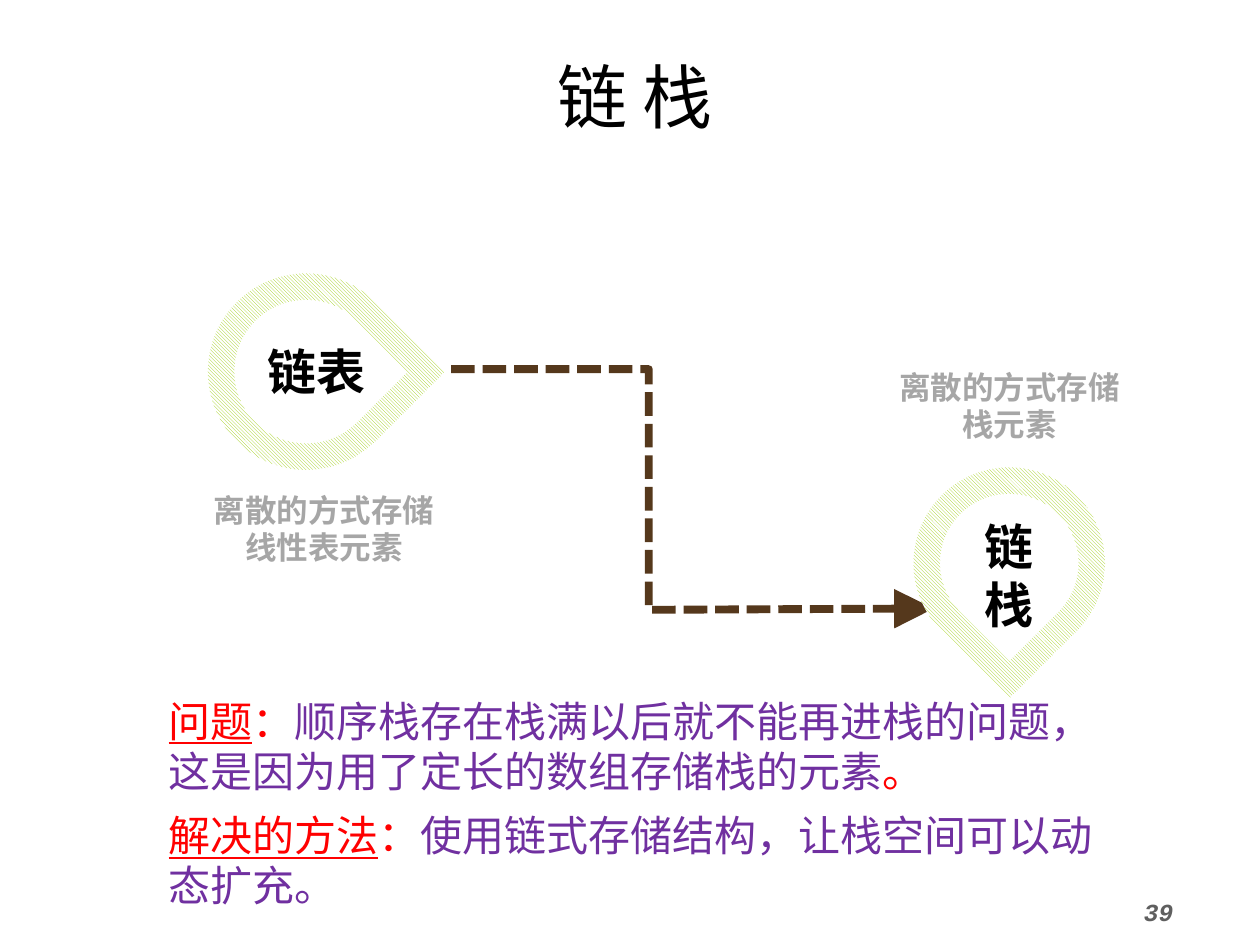
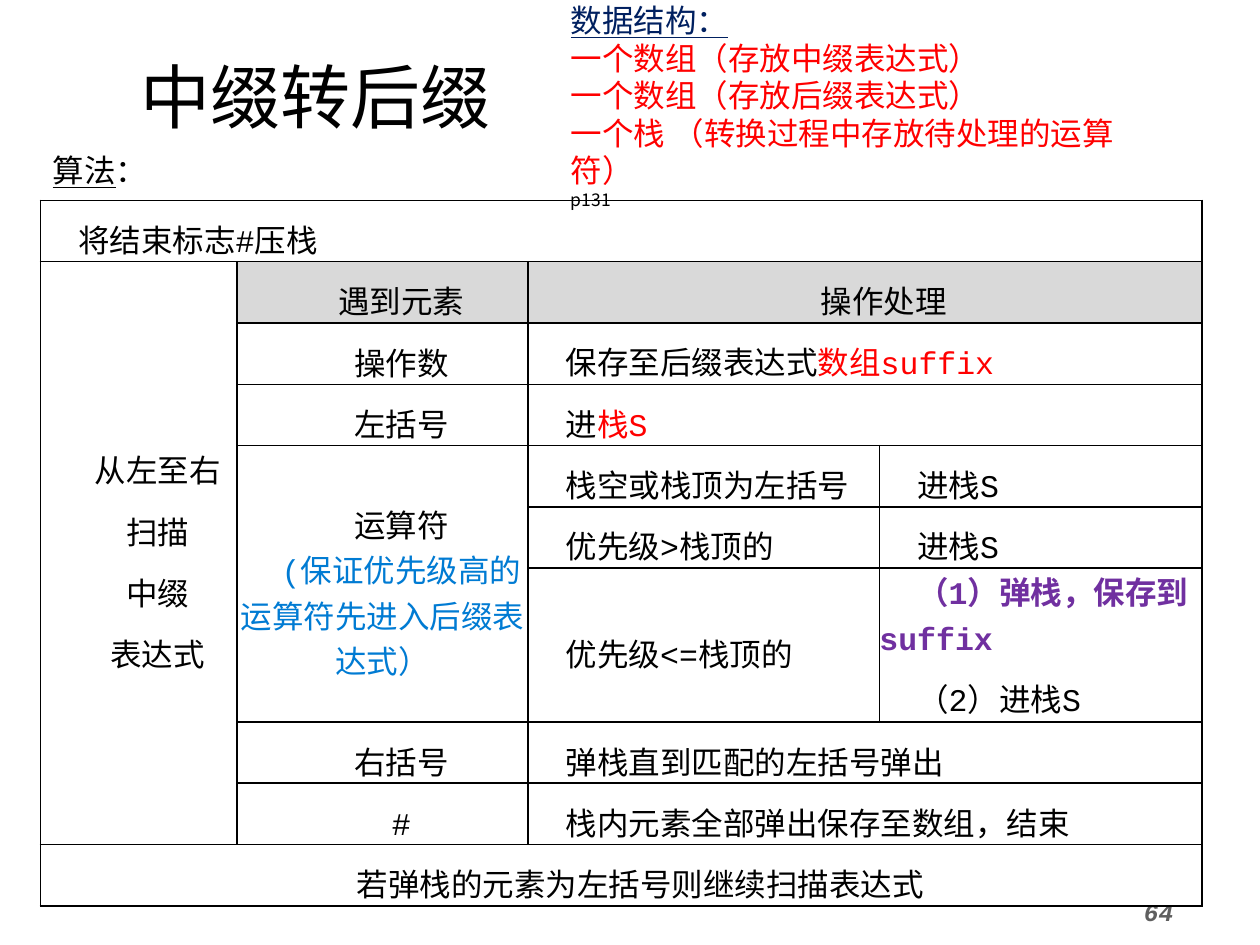
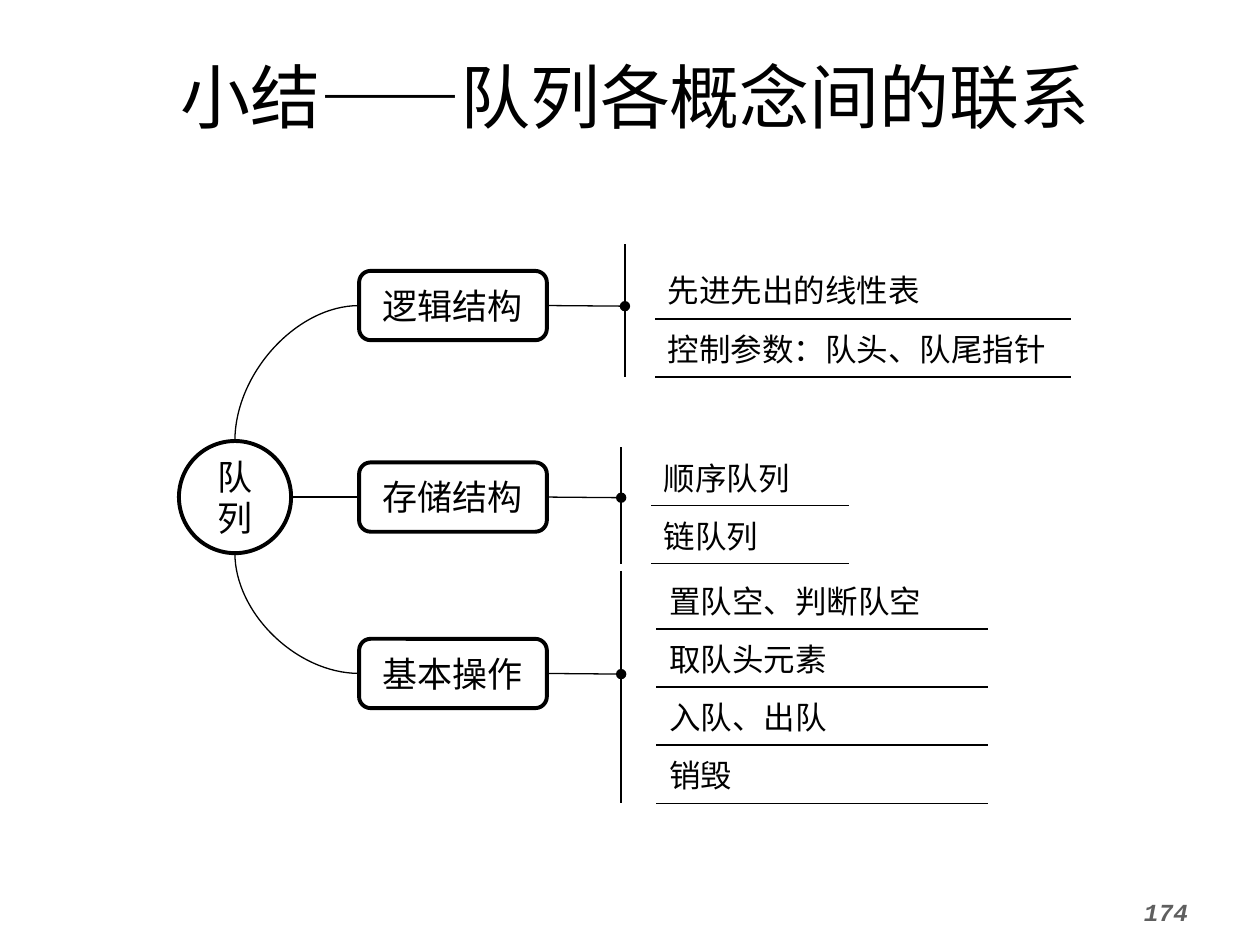
from math import cos, pi, sin, sqrt, tan

from lxml.etree import SubElement
from pptx import Presentation
from pptx.dml.color import RGBColor
from pptx.enum.dml import MSO_LINE, MSO_PATTERN
from pptx.enum.shapes import MSO_CONNECTOR as LINK, MSO_SHAPE as SHAPE
from pptx.enum.text import MSO_ANCHOR as ANCHOR, PP_ALIGN as ALIGN
from pptx.oxml import parse_xml
from pptx.oxml.ns import nsdecls, qn
from pptx.util import Inches, Pt

BLACK = RGBColor(0, 0, 0)
WHITE = RGBColor(0xFF, 0xFF, 0xFF)
GREY = RGBColor(0xA6, 0xA6, 0xA6)
PALE = RGBColor(0xD9, 0xD9, 0xD9)
DIM = RGBColor(0x5F, 0x5F, 0x5F)
RED = RGBColor(0xFF, 0, 0)
PURPLE = RGBColor(0x70, 0x30, 0xA0)
NAVY = RGBColor(0, 0x20, 0x60)
BLUE = RGBColor(0, 0x7B, 0xD3)
GREEN = RGBColor(0x99, 0xCC, 0)
BROWN = RGBColor(0x55, 0x38, 0x1C)

MONO, SANS = "Courier New", "Noto Sans CJK SC"
PLAIN_TABLE = "{2D5ABB26-0587-4C30-8999-92F81FD0307C}"
WIDE_TITLE, HALF_TITLE = (0.27, 0.37, 9.54, 0.77), (0.32, 0.37, 4.37, 0.77)
LEAD = 1.19   # line pitch as a share of the text size
TALL, BASE = 35, 26   # line pitch in tables, points

# A paragraph is a string or a list of runs; a run is a string or (text, format).
KEY = dict(color=RED, underline=True)
MARK = dict(color=RED)

# Chain stack: centre x, centre y, radius, tip angle, insets, lines
DROPS = [
    (2.43, 2.95, 0.78, 0, (0, 0.05, 0.16, 0.05), ["链表"]),
    (8.01, 4.47, 0.76, pi / 2, (0, 0, 0, 0.12), ["链", "栈"]),
]
ROUTE = [(3.58, 2.93), (5.15, 2.93), (5.15, 4.84), (7.41, 4.83)]
LABELS = [
    ((1.45, 3.76, 2.24, 0.87), ["离散的方式存储", "线性表元素"]),
    ((6.89, 2.79, 2.24, 0.86), ["离散的方式存储", "栈元素"]),
]
NOTES = [
    ((1.24, 5.47, 7.74, 0.91),
     [("问题", KEY), ("：", MARK),
      "顺序栈存在栈满以后就不能再进栈的问题，这是因为用了定长的数组存储栈的元素",
      ("。", MARK)]),
    ((1.24, 6.38, 7.53, 0.91),
     [("解决的方法", KEY), ("：", MARK), "使用链式存储结构，让栈空间可以动态扩充。"]),
]

# Infix to postfix
STORES = [
    [("数据结构：", dict(color=NAVY, underline=True))],
    "一个数组（存放中缀表达式）",
    "一个数组（存放后缀表达式）",
    "一个栈 （转换过程中存放待处理的运算符）",
    [("p131", dict(color=BLACK, size=10, line=12))],
]
COLS = [1.56, 2.31, 2.79, 2.56]
ROWS = [0.48] * 6 + [1.22] + [0.48] * 3
MID, LEFT = ALIGN.CENTER, ALIGN.LEFT
# row, column, rows spanned, columns spanned, alignment, paragraphs
STEPS = [
    (0, 0, 1, 4, LEFT, ["将结束标志#压栈"]),
    (1, 0, 8, 1, MID, ["从左至右", "扫描", "中缀", "表达式"]),
    (1, 1, 1, 1, MID, ["遇到元素"]),
    (1, 2, 1, 2, MID, ["操作处理"]),
    (2, 1, 1, 1, MID, ["操作数"]),
    (2, 2, 1, 2, LEFT, [["保存至后缀表达式", ("数组suffix", MARK)]]),
    (3, 1, 1, 1, MID, ["左括号"]),
    (3, 2, 1, 2, LEFT, [["进", ("栈S", MARK)]]),
    (4, 1, 3, 1, MID, ["运算符", [("(保证优先级高的运算符先进入后缀表达式）",
                                dict(color=BLUE, line=BASE))]]),
    (4, 2, 1, 1, LEFT, ["栈空或栈顶为左括号"]),
    (4, 3, 1, 1, LEFT, ["进栈S"]),
    (5, 2, 1, 1, LEFT, ["优先级>栈顶的"]),
    (5, 3, 1, 1, LEFT, ["进栈S"]),
    (6, 2, 1, 1, LEFT, ["优先级<=栈顶的"]),
    (6, 3, 1, 1, LEFT, [[("（1）弹栈，保存到suffix",
                          dict(color=PURPLE, bold=True, line=BASE))], "（2）进栈S"]),
    (7, 1, 1, 1, MID, ["右括号"]),
    (7, 2, 1, 2, LEFT, ["弹栈直到匹配的左括号弹出"]),
    (8, 1, 1, 1, MID, ["#"]),
    (8, 2, 1, 2, LEFT, ["栈内元素全部弹出保存至数组，结束"]),
    (9, 0, 1, 4, MID, ["若弹栈的元素为左括号则继续扫描表达式"]),
]

# Queue summary: name, box top, side of the hub, list corner, columns, first line pitch, items
BRANCHES = [
    ("逻辑结构", 2.15, 0, (4.96, 1.94), (0.23, 3.3), TALL,
     ["先进先出的线性表", "控制参数：队头、队尾指针"]),
    ("存储结构", 3.67, 3, (4.93, 3.55), (0.23, 1.57), BASE, ["顺序队列", "链队列"]),
    ("基本操作", 5.07, 2, (4.93, 4.53), (0.28, 2.63), BASE,
     ["置队空、判断队空", "取队头元素", "入队、出队", "销毁"]),
]


def box(at):
    return [Inches(v) for v in at]


def write(frame, paras, align=LEFT, anchor=ANCHOR.TOP, insets=None, indent=0, **look):
    """Fill a text frame; look gives size, font, color, bold, italic, underline, line."""
    frame.word_wrap = True
    frame.vertical_anchor = anchor
    if insets:
        (frame.margin_left, frame.margin_top,
         frame.margin_right, frame.margin_bottom) = box(insets)
    for i, runs in enumerate(paras):
        para = frame.paragraphs[0] if i == 0 else frame.add_paragraph()
        para.alignment = align
        if indent:
            para._p.get_or_add_pPr().set("indent", str(Inches(indent)))
        for item in [runs] if isinstance(runs, str) else runs:
            text, extra = (item, {}) if isinstance(item, str) else item
            fmt = {"size": 18, "font": SANS, "color": BLACK, **look, **extra}
            if fmt.get("line"):
                para.line_spacing = Pt(fmt["line"])
            run = para.add_run()
            run.text = text
            font = run.font
            font.size, font.name = Pt(fmt["size"]), fmt["font"]
            font.color.rgb = fmt["color"]
            font.bold = fmt.get("bold", False)
            font.italic = fmt.get("italic", False)
            font.underline = fmt.get("underline", False)
            SubElement(run._r.get_or_add_rPr(), qn("a:ea")).set("typeface", SANS)


def label(slide, at, paras, **look):
    write(slide.shapes.add_textbox(*box(at)).text_frame, paras, **look)


def start(deck, title, number, at=WIDE_TITLE):
    """Add a slide with the shared title and page number."""
    slide = deck.slides.add_slide(deck.slide_layouts[5])
    head = slide.shapes.title
    head.left, head.top, head.width, head.height = box(at)
    write(head.text_frame, [title], align=MID, anchor=ANCHOR.MIDDLE, size=40, font=MONO)
    label(slide, (8.98, 7.07, 1.02, 0.43), [number], size=14, font=MONO,
          color=DIM, bold=True, italic=True)
    return slide


def tip(line, kind, size="med"):
    end = SubElement(line._get_or_add_ln(), qn("a:tailEnd"))
    for key, value in (("type", kind), ("w", size), ("len", size)):
        end.set(key, value)


def trace(slide, loops, close):
    """Build one outline from lists of points in inches."""
    loops = [[tuple(box(p)) for p in loop] for loop in loops]
    pen = slide.shapes.build_freeform(*loops[0][0])
    for i, loop in enumerate(loops):
        if i:
            pen.move_to(*loop[0])
        pen.add_line_segments(loop[1:], close=close)
    shape = pen.convert_to_shape()
    shape.shadow.inherit = False
    return shape


def drop(x, y, radius, angle, way):
    """Points of a drop: four arcs as Bezier triples, then the tip of its right angle."""
    def spot(turn, pull=0):
        t = angle + way * turn
        return (x + radius * (cos(t) - way * pull * sin(t)),
                y + radius * (sin(t) + way * pull * cos(t)))

    turns = [pi / 4, pi / 2, pi, 1.5 * pi, 1.75 * pi]
    points = [spot(turns[0])]
    for a, b in zip(turns, turns[1:]):
        pull = 4 / 3 * tan((b - a) / 4)
        points += [spot(a, pull), spot(b, -pull), spot(b)]
    reach = radius * sqrt(2)
    return points + [(x + reach * cos(angle), y + reach * sin(angle))]


def bend(shape):
    """Turn the twelve segments after each move into four Bezier curves."""
    for move in list(shape._element.iter(qn("a:moveTo"))):
        lines = list(move.itersiblings(qn("a:lnTo")))[:12]
        for i in range(0, 12, 3):
            trio = lines[i:i + 3]
            curve = parse_xml(f'<a:cubicBezTo {nsdecls("a")}/>')
            trio[0].addprevious(curve)
            for part in trio:
                curve.append(part[0])
                part.getparent().remove(part)


def grid(slide, corner, cols, rows):
    at = box((*corner, sum(cols), sum(rows)))
    table = slide.shapes.add_table(len(rows), len(cols), *at).table
    table.first_row = table.horz_banding = False
    table._tbl.tblPr.find(qn("a:tableStyleId")).text = PLAIN_TABLE
    for col, width in zip(table.columns, cols):
        col.width = Inches(width)
    for row, height in zip(table.rows, rows):
        row.height = Inches(height)
    return table


def edge(cell, sides):
    """Draw black one-point borders on the sides, given in L R T B order."""
    props = cell._tc.get_or_add_tcPr()
    for i, side in enumerate(sides):
        props.insert(i, parse_xml(
            f'<a:ln{side} {nsdecls("a")} w="12700"><a:solidFill>'
            f'<a:srgbClr val="{BLACK}"/></a:solidFill></a:ln{side}>'))


def node(slide, kind, at, text):
    shape = slide.shapes.add_shape(kind, *box(at))
    shape.shadow.inherit = False
    shape.fill.solid()
    shape.fill.fore_color.rgb = WHITE
    shape.line.color.rgb = BLACK
    shape.line.width = Pt(2.25)
    write(shape.text_frame, [text], align=MID, anchor=ANCHOR.MIDDLE,
          size=20, font=MONO, line=20 * LEAD)
    return shape


def link(slide, kind, first, side, end):
    """Draw a thin connector from a side of a shape to a point."""
    wire = slide.shapes.add_connector(kind, 0, 0, *box(end))
    wire.begin_connect(first, side)
    wire.line.color.rgb = BLACK
    wire.line.width = Pt(0.75)
    SubElement(wire._element.spPr, qn("a:effectLst"))
    return wire


def chain(deck):
    slide = start(deck, "链 栈", "39")
    path = trace(slide, [ROUTE], False)
    path.fill.background()
    path.line.color.rgb = BROWN
    path.line.width = Pt(4.5)
    path.line.dash_style = MSO_LINE.SQUARE_DOT
    path.line._get_or_add_ln().find(qn("a:prstDash")).set("val", "sysDash")
    tip(path.line, "triangle", "lg")
    for x, y, radius, angle, insets, lines in DROPS:
        ring = trace(slide, [drop(x, y, radius, angle, 1),
                             drop(x, y, radius - 0.21, angle, -1)], True)
        bend(ring)
        ring.fill.patterned()
        ring.fill.pattern = MSO_PATTERN.DARK_DOWNWARD_DIAGONAL
        ring.fill.fore_color.rgb = GREEN
        ring.fill.back_color.rgb = WHITE
        ring.line.fill.background()
        write(ring.text_frame, lines, align=MID, anchor=ANCHOR.MIDDLE, insets=insets,
              size=28, font=MONO, bold=True, line=28 * LEAD)
    for at, lines in LABELS:
        label(slide, at, lines, align=MID, anchor=ANCHOR.MIDDLE,
              color=GREY, bold=True, line=18 * LEAD)
    for at, runs in NOTES:
        label(slide, at, [runs], size=24, color=PURPLE, line=24 * LEAD)


def infix(deck):
    slide = start(deck, "中缀转后缀", "64", HALF_TITLE)
    table = grid(slide, (0.32, 1.59), COLS, ROWS)
    for cell in table.iter_cells():
        cell.fill.solid()
        cell.fill.fore_color.rgb = WHITE
        edge(cell, "LRTB")
    for row, col, down, across, align, paras in STEPS:
        cell = table.cell(row, col)
        if down * across > 1:
            cell.merge(table.cell(row + down - 1, col + across - 1))
        if row == 1 and col:
            cell.fill.fore_color.rgb = PALE
        cell.margin_left = cell.margin_right = cell.margin_top = cell.margin_bottom = 0
        cell.vertical_anchor = ANCHOR.MIDDLE
        write(cell.text_frame, paras, align=align, anchor=ANCHOR.MIDDLE, indent=0.3,
              font=MONO, line=TALL)
    burst = slide.shapes.add_shape(SHAPE.EXPLOSION1, *box((2.57, -1.11, 8.7, 4.16)))
    burst.shadow.inherit = False
    burst.fill.background()
    burst.line.fill.background()
    write(burst.text_frame, STORES, anchor=ANCHOR.MIDDLE, color=RED, line=18 * LEAD)
    label(slide, (0.32, 1.15, 1.41, 0.4), [[("算法", dict(underline=True)), "："]],
          anchor=ANCHOR.MIDDLE)


def queue(deck):
    slide = start(deck, "小结——队列各概念间的联系", "174")
    hub = node(slide, SHAPE.OVAL, (1.42, 3.5, 0.89, 0.89), "队列")
    for name, top, side, corner, cols, pitch, items in BRANCHES:
        part = node(slide, SHAPE.ROUNDED_RECTANGLE, (2.85, top, 1.49, 0.55), name)
        kind = LINK.STRAIGHT if side == 3 else LINK.CURVE
        wire = link(slide, kind, part, 1, (1.86, 3.95))
        wire.end_connect(hub, side)
        # an ellipse has eight joints, two for each side
        wire._element.nvCxnSpPr.cNvCxnSpPr.endCxn.idx = side * 2
        if kind == LINK.CURVE:
            wire._element.spPr.find(qn("a:prstGeom")).set("prst", "curvedConnector2")

        rows = [0.59 if pitch == TALL else 0.46] + [0.46] * (len(items) - 1)
        table = grid(slide, corner, cols, rows)
        for i, item in enumerate(items):
            edge(table.cell(i, 0), "L")
            cell = table.cell(i, 1)
            edge(cell, "B")
            write(cell.text_frame, [item], font=MONO, line=BASE if i else pitch)
        stem = link(slide, LINK.STRAIGHT, part, 3, (corner[0], top + 0.28))
        tip(stem.line, "oval")


def main():
    deck = Presentation()
    deck.slide_width, deck.slide_height = Inches(10), Inches(7.5)
    chain(deck)
    infix(deck)
    queue(deck)
    deck.save("out.pptx")


if __name__ == "__main__":
    main()
